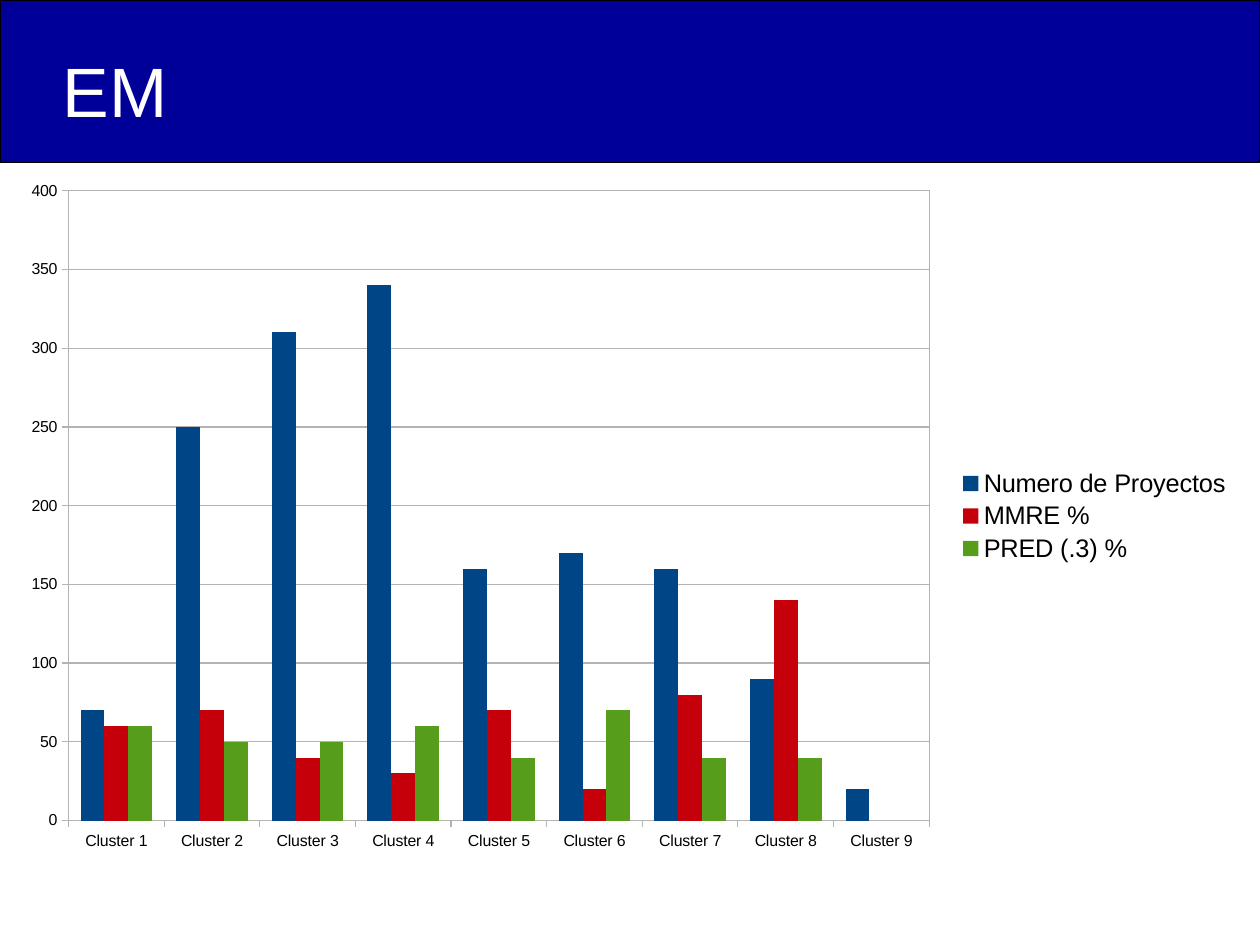
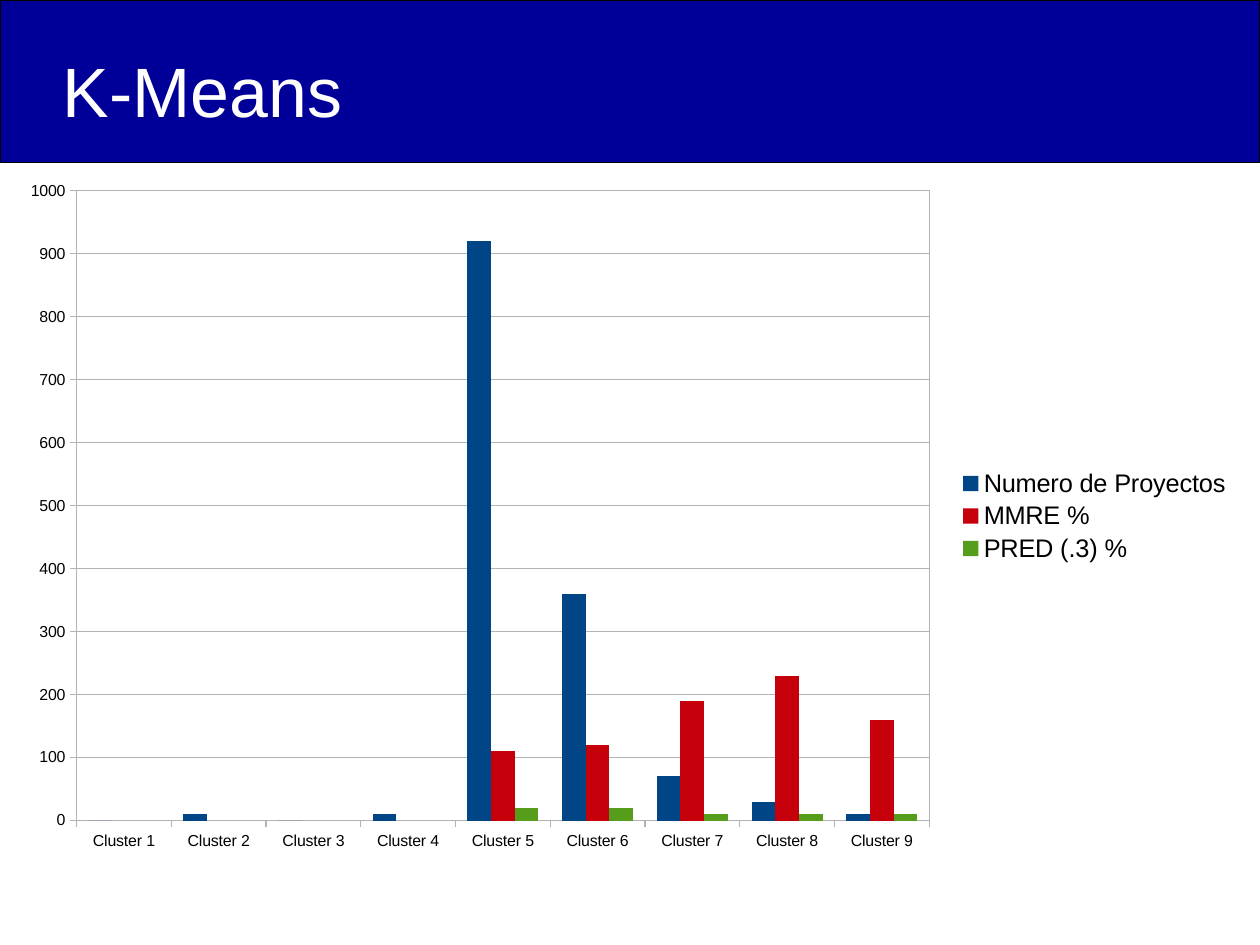
from dataclasses import dataclass

from lxml import etree
from pptx import Presentation
from pptx.chart.axis import CategoryAxis, ValueAxis
from pptx.chart.chart import Chart
from pptx.chart.data import CategoryChartData
from pptx.dml.color import RGBColor
from pptx.dml.line import LineFormat
from pptx.enum.chart import XL_CHART_TYPE, XL_LEGEND_POSITION, XL_TICK_MARK
from pptx.enum.shapes import MSO_SHAPE
from pptx.enum.text import MSO_ANCHOR
from pptx.oxml import parse_xml
from pptx.oxml.ns import nsdecls, qn
from pptx.slide import Slide
from pptx.text.text import Font
from pptx.util import Cm, Inches, Pt

COLUMN = XL_CHART_TYPE.COLUMN_CLUSTERED
RIGHT = XL_LEGEND_POSITION.RIGHT
OUT = XL_TICK_MARK.OUTSIDE
RECT = MSO_SHAPE.RECTANGLE
MIDDLE = MSO_ANCHOR.MIDDLE


@dataclass(frozen=True)
class Theme:
    font: str = "Arial"
    band: str = "000099"
    white: str = "FFFFFF"
    ink: str = "000000"
    grid: str = "B3B3B3"
    bars: tuple[str, ...] = ("004586", "C5000B", "579D1C")
    title: int = 44
    legend: int = 16
    label: int = 10


@dataclass(frozen=True)
class Box:
    """A place on the slide, in inches."""
    left: float
    top: float
    width: float
    height: float

    def place(self) -> tuple[int, int, int, int]:
        return (Inches(self.left), Inches(self.top),
                Inches(self.width), Inches(self.height))


@dataclass(frozen=True)
class Page:
    """One slide; left is where its plot starts, in inches."""
    title: str
    rows: tuple[tuple[int | None, ...], ...]
    top: int
    step: int
    left: float


THEME = Theme()
WIDTH, HEIGHT = Cm(28), Cm(21)
BAND = Box(0, 0, 11.02, 1.42)
TITLE = Box(0.55, 0.1, 10.16, 1.37)
CHART = Box(0.06, 1.47, 10.82, 6.09)
PLOT_TOP, PLOT_RIGHT, PLOT_END = 1.67, 8.13, 7.18

NAMES = ("Numero de Proyectos", "MMRE %", "PRED (.3) %")
GROUPS = [f"Cluster {n}" for n in range(1, 10)]
GAP = (None,) * 4

PAGES = (
    Page("EM", (
        (70, 250, 310, 340, 160, 170, 160, 90, 20),
        (60, 70, 40, 30, 70, 20, 80, 140, None),
        (60, 50, 50, 60, 40, 70, 40, 40, None),
    ), top=400, step=50, left=0.6),
    Page("K-Means", (
        (0, 10, 0, 10, 920, 360, 70, 30, 10),
        GAP + (110, 120, 190, 230, 160),
        GAP + (20, 20, 10, 10, 10),
    ), top=1000, step=100, left=0.67),
)


def style(font: Font, size: int, tint: str) -> None:
    font.name = THEME.font
    font.size = Pt(size)
    font.color.rgb = RGBColor.from_string(tint)


def hairline(line: LineFormat, tint: str) -> None:
    line.color.rgb = RGBColor.from_string(tint)
    line.width = Pt(0)


def add_head(slide: Slide, title: str) -> None:
    band = slide.shapes.add_shape(RECT, *BAND.place())
    band.shadow.inherit = False
    band.fill.solid()
    band.fill.fore_color.rgb = RGBColor.from_string(THEME.band)
    hairline(band.line, THEME.ink)

    frame = slide.shapes.add_textbox(*TITLE.place()).text_frame
    frame.word_wrap = True
    frame.vertical_anchor = MIDDLE
    frame.margin_left = frame.margin_right = 0
    frame.margin_top = frame.margin_bottom = 0
    run = frame.paragraphs[0].add_run()
    run.text = title
    style(run.font, THEME.title, THEME.white)


def style_axis(axis: CategoryAxis | ValueAxis) -> None:
    axis.major_tick_mark = OUT
    hairline(axis.format.line, THEME.grid)
    style(axis.tick_labels.font, THEME.label, THEME.ink)


def frame_plot(chart: Chart, left: float) -> None:
    """Fix the inner plot area and give it a thin border."""
    area = chart.plots[0]._element.getparent()
    for old in area.findall(qn("c:layout")):
        area.remove(old)
    layout = parse_xml(f"<c:layout {nsdecls('c')}><c:manualLayout/></c:layout>")
    sizes = {"layoutTarget": "inner", "xMode": "edge", "yMode": "edge",
             "x": (left - CHART.left) / CHART.width,
             "y": (PLOT_TOP - CHART.top) / CHART.height,
             "w": (PLOT_RIGHT - left) / CHART.width,
             "h": (PLOT_END - PLOT_TOP) / CHART.height}
    for tag, value in sizes.items():
        etree.SubElement(layout[0], qn(f"c:{tag}")).set("val", str(value))
    area.insert(0, layout)
    area.append(parse_xml(
        f"<c:spPr {nsdecls('c', 'a')}><a:noFill/><a:ln w='0'><a:solidFill>"
        f"<a:srgbClr val='{THEME.grid}'/></a:solidFill></a:ln></c:spPr>"))


def add_bars(slide: Slide, page: Page) -> None:
    data = CategoryChartData()
    data.categories = GROUPS
    for name, row in zip(NAMES, page.rows):
        data.add_series(name, row)
    chart = slide.shapes.add_chart(COLUMN, *CHART.place(), data).chart
    chart.has_title = False
    style(chart.font, THEME.label, THEME.ink)

    chart.has_legend = True
    chart.legend.position = RIGHT
    chart.legend.include_in_layout = False
    style(chart.legend.font, THEME.legend, THEME.ink)

    plot = chart.plots[0]
    plot.gap_width = 100
    plot.overlap = 0
    plot.vary_by_categories = False
    for series, tint in zip(plot.series, THEME.bars):
        series.format.fill.solid()
        series.format.fill.fore_color.rgb = RGBColor.from_string(tint)

    style_axis(chart.category_axis)
    scale = chart.value_axis
    style_axis(scale)
    scale.minimum_scale, scale.maximum_scale = 0, page.top
    scale.major_unit = page.step
    scale.has_major_gridlines = True
    hairline(scale.major_gridlines.format.line, THEME.grid)
    frame_plot(chart, page.left)


def main() -> None:
    deck = Presentation()
    deck.slide_width, deck.slide_height = WIDTH, HEIGHT
    blank = deck.slide_layouts[6]
    for page in PAGES:
        slide = deck.slides.add_slide(blank)
        add_head(slide, page.title)
        add_bars(slide, page)
    deck.save("out.pptx")


if __name__ == "__main__":
    main()
